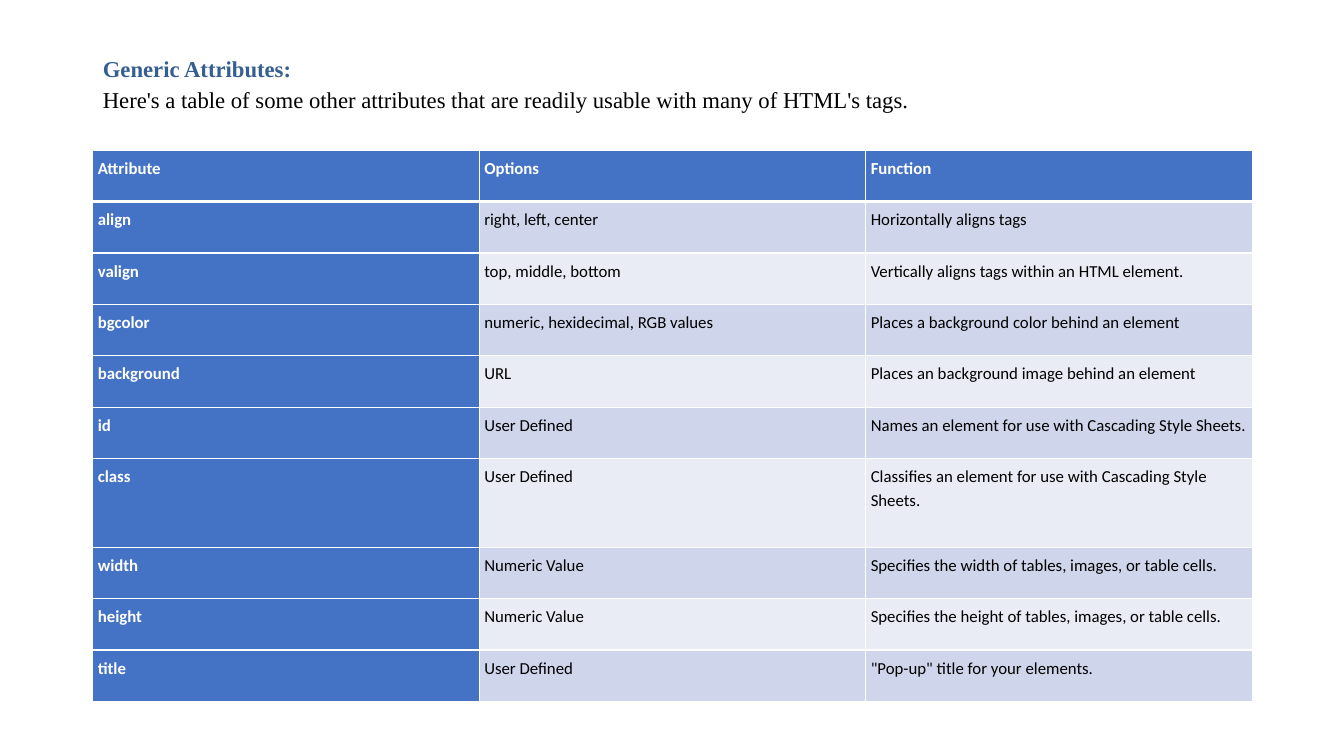
from lxml import etree
from pptx import Presentation
from pptx.dml.color import RGBColor
from pptx.enum.text import MSO_ANCHOR, MSO_AUTO_SIZE, PP_ALIGN
from pptx.oxml.ns import qn
from pptx.util import Inches, Pt

TOP = MSO_ANCHOR.TOP
LEFT = PP_ALIGN.LEFT
NO_AUTOFIT = MSO_AUTO_SIZE.NONE

COLORS = {
    "heading": "365F91",
    "black": "000000",
    "white": "FFFFFF",
    "header": "4472C4",
    "odd_band": "CFD5EA",
    "even_band": "E9EBF5",
}
MARGIN_LEFT = 0.92
CONTENT_WIDTH = 11.5
ROW_HEIGHT = 0.51
TALL_ROW_HEIGHT = 0.88

HEADING = "Generic Attributes:"
INTRODUCTION = (
    "Here's a table of some other attributes that are readily usable "
    "with many of HTML's tags."
)
ATTRIBUTES = [
    ("Attribute", "Options", "Function"),
    ("align", "right, left, center", "Horizontally aligns tags"),
    ("valign", "top, middle, bottom", "Vertically aligns tags within an HTML element."),
    ("bgcolor", "numeric, hexidecimal, RGB values", "Places a background color behind an element"),
    ("background", "URL", "Places an background image behind an element"),
    ("id", "User Defined", "Names an element for use with Cascading Style Sheets."),
    ("class", "User Defined", "Classifies an element for use with Cascading Style Sheets."),
    ("width", "Numeric Value", "Specifies the width of tables, images, or table cells."),
    ("height", "Numeric Value", "Specifies the height of tables, images, or table cells."),
    ("title", "User Defined", "\"Pop-up\" title for your elements."),
]


class AttributeSlide:
    """Hold the text style and the slide, and add its title and table."""

    title_font = "Times New Roman"
    table_font = "Calibri"
    line_spacing = 1.15

    def __init__(self, presentation):
        self.slide = presentation.slides.add_slide(presentation.slide_layouts[5])

    def format_run(self, run, font_name, size, color, bold):
        run.font.name = font_name
        run.font.size = Pt(size)
        run.font.bold = bold
        run.font.color.rgb = RGBColor.from_string(COLORS[color])

    def add_title(self, heading, introduction):
        title = self.slide.shapes.title
        title.left, title.top = Inches(MARGIN_LEFT), Inches(0.4)
        title.width, title.height = Inches(CONTENT_WIDTH), Inches(1.45)
        text_frame = title.text_frame
        text_frame.auto_size = NO_AUTOFIT
        text_frame.word_wrap = True
        text_frame.vertical_anchor = TOP
        text_frame.margin_top = Inches(0.1)
        paragraph = text_frame.paragraphs[0]
        paragraph.text = f"{heading}\v{introduction}"
        paragraph.alignment = LEFT
        paragraph.line_spacing = self.line_spacing
        paragraph.space_before = Pt(0)
        heading_run, introduction_run = paragraph.runs
        self.format_run(heading_run, self.title_font, 16.2, "heading", True)
        self.format_run(introduction_run, self.title_font, 16.2, "black", False)

    def add_borders(self, cell, top, bottom):
        properties = cell._tc.get_or_add_tcPr()
        widths = {"a:lnL": 1, "a:lnR": 1, "a:lnT": top, "a:lnB": bottom}
        for position, (tag, width) in enumerate(widths.items()):
            line = etree.Element(qn(tag), w=str(Pt(width)))
            fill = etree.SubElement(line, qn("a:solidFill"))
            etree.SubElement(fill, qn("a:srgbClr"), val=COLORS["white"])
            properties.insert(position, line)

    def fill_cell(self, cell, text, fill, color, bold):
        cell.fill.solid()
        cell.fill.fore_color.rgb = RGBColor.from_string(COLORS[fill])
        cell.margin_left = cell.margin_right = Inches(0.05)
        cell.margin_top = cell.margin_bottom = Inches(0.05)
        paragraph = cell.text_frame.paragraphs[0]
        paragraph.text = text
        paragraph.line_spacing = self.line_spacing
        paragraph.space_after = Pt(10)
        self.format_run(paragraph.runs[0], self.table_font, 12, color, bold)

    def add_table(self, rows):
        heights = [TALL_ROW_HEIGHT if row[0] == "class" else ROW_HEIGHT for row in rows]
        table = self.slide.shapes.add_table(
            len(rows), len(rows[0]), Inches(MARGIN_LEFT), Inches(1.49),
            Inches(CONTENT_WIDTH), Inches(sum(heights)),
        ).table
        table.first_col = True
        for row_index, row in enumerate(rows):
            table.rows[row_index].height = Inches(heights[row_index])
            band = "odd_band" if row_index % 2 else "even_band"
            for column_index, text in enumerate(row):
                cell = table.cell(row_index, column_index)
                if row_index == 0 or column_index == 0:
                    self.fill_cell(cell, text, "header", "white", True)
                else:
                    self.fill_cell(cell, text, band, "black", False)
                self.add_borders(
                    cell,
                    top=3 if row_index == 1 else 1,
                    bottom=3 if row_index == 0 else 1,
                )


def main():
    presentation = Presentation()
    presentation.slide_width = Inches(13.33)
    presentation.slide_height = Inches(7.5)
    attribute_slide = AttributeSlide(presentation)
    attribute_slide.add_title(HEADING, INTRODUCTION)
    attribute_slide.add_table(ATTRIBUTES)
    presentation.save("out.pptx")


if __name__ == "__main__":
    main()
